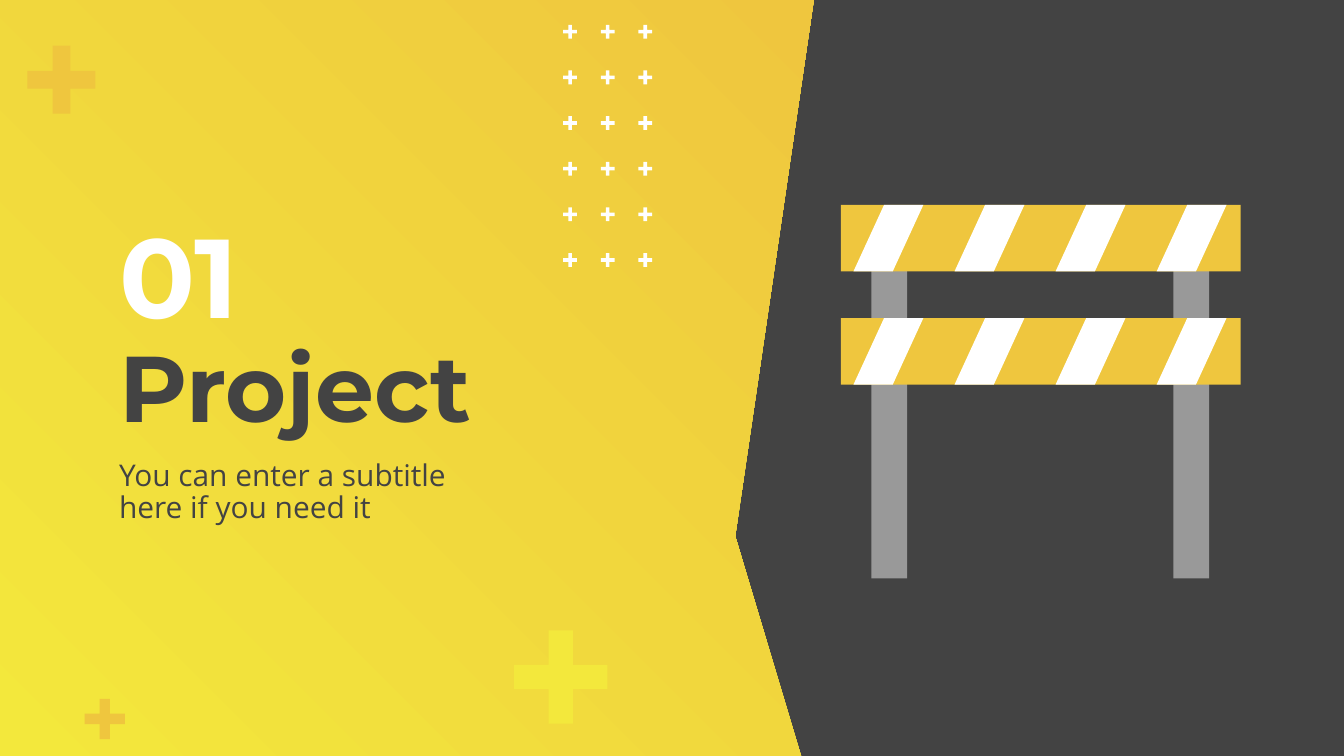
from pptx import Presentation
from pptx.dml.color import RGBColor
from pptx.enum.shapes import MSO_SHAPE
from pptx.enum.text import MSO_ANCHOR, MSO_AUTO_SIZE, PP_ALIGN
from pptx.util import Cm, Pt

RECT, CROSS, SLANT = MSO_SHAPE.RECTANGLE, MSO_SHAPE.CROSS, MSO_SHAPE.PARALLELOGRAM
TOP, MIDDLE, BOTTOM = MSO_ANCHOR.TOP, MSO_ANCHOR.MIDDLE, MSO_ANCHOR.BOTTOM
LEFT = PP_ALIGN.LEFT
NO_FIT = MSO_AUTO_SIZE.NONE

DARK, WHITE, GREY = "434343", "FFFFFF", "999999"
YELLOW, AMBER = "F3E83C", "EFC63E"
WIDTH, HEIGHT = 50.8, 28.58


def rgb(value):
    return RGBColor.from_string(value)


def add_block(shapes, kind, box, color, adjust=None):
    sp = shapes.add_shape(kind, *map(Cm, box))
    sp.shadow.inherit = False
    sp.fill.solid()
    sp.fill.fore_color.rgb = rgb(color)
    sp.line.fill.background()
    if adjust is not None:
        sp.adjustments[0] = adjust
    return sp


def add_panel(s, box):
    x, y, w, h = box
    points = [(0, h), (w - 0.48, h), (w - 2.97, 20.27), (w, 0)]
    builder = s.shapes.build_freeform(Cm(x), Cm(y))
    builder.add_line_segments([(Cm(x + px), Cm(y + py)) for px, py in points])
    sp = builder.convert_to_shape()
    sp.shadow.inherit = False
    sp.line.fill.background()
    sp.fill.gradient()
    sp.fill.gradient_angle = 45
    for stop, color in zip(sp.fill.gradient_stops, (YELLOW, AMBER)):
        stop.color.rgb = rgb(color)


def add_large_crosses(s):
    for x, y, size, color in (
        (19.43, 23.83, 3.53, YELLOW),
        (1.04, 1.73, 2.57, AMBER),
        (3.2, 26.42, 1.52, AMBER),
    ):
        add_block(s.shapes, CROSS, (x, y, size, size), color, 0.37)


def add_cross_grid(s, box, columns=3, rows=6, size=0.52):
    x, y, w, h = box
    dx, dy = (w - size) / (columns - 1), (h - size) / (rows - 1)
    group = s.shapes.add_group_shape()
    for col in range(columns):
        for row in range(rows):
            cell = (x + col * dx, y + row * dy, size, size)
            add_block(group.shapes, CROSS, cell, WHITE, 0.37)


def add_barrier(s, box):
    x, y, w, h = box
    board_h, post_w, post_top = 2.51, 1.35, 1.07
    group = s.shapes.add_group_shape()
    for post_x in (x + 1.16, x + w - 1.19 - post_w):
        add_block(group.shapes, RECT, (post_x, y + post_top, post_w, h - post_top), GREY)
    for board_y in (y, y + 4.28):
        add_block(group.shapes, RECT, (x, board_y, w, board_h), AMBER)
        for i in range(4):
            stripe = (x + 0.48 + i * 3.82, board_y, 2.64, board_h)
            add_block(group.shapes, SLANT, stripe, WHITE, 0.46)


def set_text(sp, box, text, anchor, color, font, spacing=1.0):
    sp.left, sp.top, sp.width, sp.height = map(Cm, box)
    tf = sp.text_frame
    frame = {"word_wrap": True, "auto_size": NO_FIT, "vertical_anchor": anchor}
    frame.update({f"margin_{side}": Cm(0.51) for side in ("left", "top", "right", "bottom")})
    for name, value in frame.items():
        setattr(tf, name, value)
    p = tf.paragraphs[0]
    p.alignment = LEFT
    p.line_spacing = spacing
    r = p.add_run()
    r.text = text
    for name, value in font.items():
        setattr(r.font, name, value)
    r.font.color.rgb = rgb(color)


def add_heading(s, box):
    x, y, w, h = box
    heading = {"name": "Montserrat", "bold": True}
    body = {"name": "Open Sans", "size": Pt(32)}
    title = s.shapes.title
    s.shapes.element.append(title.element)
    number, subtitle = (s.shapes.add_textbox(0, 0, 0, 0) for _ in range(2))
    set_text(title, (x, y + 3.51, w, 4.67), "Project", MIDDLE, DARK,
             {**heading, "size": Pt(100)})
    set_text(number, (x, y, w / 2, 4.67), "01", BOTTOM, WHITE,
             {**heading, "size": Pt(120)})
    set_text(subtitle, (x, y + 8.18, w, h - 8.18),
             "You can enter a subtitle here if you need it", TOP, DARK, body, 0.9)


def main():
    prs = Presentation()
    prs.slide_width, prs.slide_height = Cm(WIDTH), Cm(HEIGHT)
    s = prs.slides.add_slide(prs.slide_layouts[5])
    s.background.fill.solid()
    s.background.fill.fore_color.rgb = rgb(DARK)
    add_panel(s, (0, 0, 30.76, HEIGHT))
    add_large_crosses(s)
    add_heading(s, (3.99, 8.71, 15.85, 12.14))
    add_barrier(s, (31.78, 7.75, 15.11, 14.12))
    add_cross_grid(s, (21.29, 0.94, 3.36, 9.15))
    prs.save("out.pptx")


if __name__ == "__main__":
    main()
